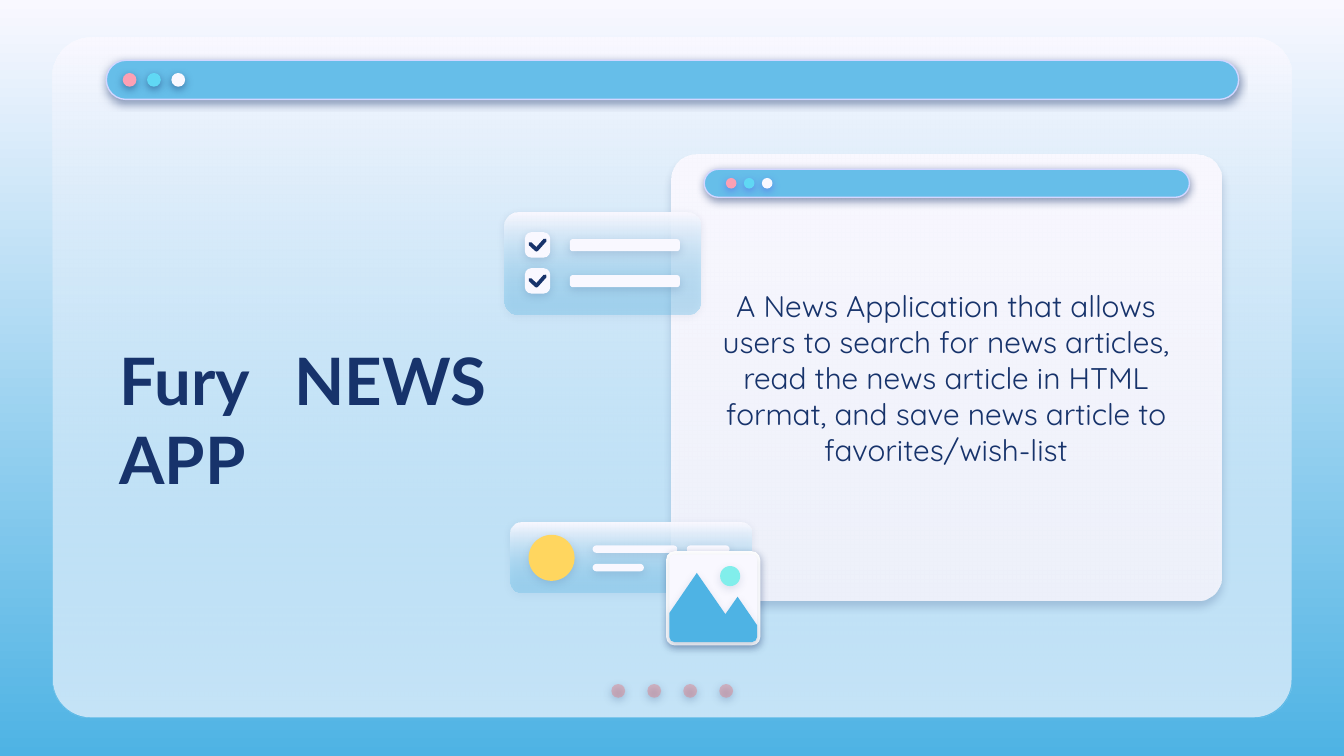
import dataclasses

import pptx
import pptx.dml.color
import pptx.enum.shapes
import pptx.enum.text
import pptx.oxml
import pptx.oxml.ns
import pptx.util
from pptx.util import Cm

SHAPE = pptx.enum.shapes.MSO_SHAPE
ALIGN = pptx.enum.text.PP_ALIGN
qn = pptx.oxml.ns.qn


@dataclasses.dataclass(frozen=True)
class Theme:
    paper: str = "F9F8FF"
    white: str = "FFFFFF"
    sky: str = "4EB3E4"
    bar: str = "66BEE9"
    bar_edge: str = "D2D6FF"
    navy: str = "17336B"
    violet: str = "5352EE"
    pink: str = "FDA0B4"
    cyan: str = "60D8F4"
    coral: str = "E27B83"
    yellow: str = "FFD65F"
    mint: str = "81EEEB"
    title_font: str = "Lato"
    body_font: str = "Quicksand"
    title_size: int = 35
    body_size: int = 16


THEME = Theme()
GLASS = (THEME.paper, THEME.bar)


def rgb(color):
    return pptx.dml.color.RGBColor.from_string(color)


def fill_gradient(fill, colors):
    """Run from the first colour at the top to the second at the bottom."""
    fill.gradient()
    fill.gradient_angle = 270
    for stop, color, position in zip(fill.gradient_stops, colors, (0, 1)):
        stop.color.rgb = rgb(color)
        stop.position = position


def paint(shape, fill, alpha=100, shadow=None, shadow_color=THEME.navy, drop=1.5, angle=90):
    """Fill a shape; alpha acts on its last colour and shadow is an opacity."""
    properties = shape._element.spPr
    if isinstance(fill, tuple):
        fill_gradient(shape.fill, fill)
    else:
        shape.fill.solid()
        shape.fill.fore_color.rgb = rgb(fill)
    if alpha < 100:
        last_color = list(properties.iter(qn("a:srgbClr")))[-1]
        pptx.oxml.ns  # alpha is a child of the colour it thins
        last_color.append(pptx.oxml.parse_xml(
            f'<a:alpha {pptx.oxml.ns.nsdecls("a")} val="{alpha * 1000}"/>'))
    shape.line.fill.background()
    shape.shadow.inherit = False
    if shadow:
        properties.find(qn("a:effectLst")).append(pptx.oxml.parse_xml(
            f'<a:outerShdw {pptx.oxml.ns.nsdecls("a")} blurRad="57150" dist="{int(drop * 12700)}" '
            f'dir="{angle * 60000}" algn="bl" rotWithShape="0"><a:srgbClr val="{shadow_color}">'
            f'<a:alpha val="{shadow * 1000}"/></a:srgbClr></a:outerShdw>'))


def add_rounded(slide, box, roundness, fill, **look):
    shape = slide.shapes.add_shape(SHAPE.ROUNDED_RECTANGLE, *map(Cm, box))
    shape.adjustments[0] = roundness
    paint(shape, fill, **look)
    return shape


def add_circle(slide, x, y, size, fill, **look):
    paint(slide.shapes.add_shape(SHAPE.OVAL, Cm(x), Cm(y), Cm(size), Cm(size)), fill, **look)


def add_outline(slide, x, y, points, close):
    corners = [(Cm(x + dx), Cm(y + dy)) for dx, dy in points]
    builder = slide.shapes.build_freeform(*corners[0])
    builder.add_line_segments(corners[1:], close=close)
    return builder.convert_to_shape()


def add_text(slide, box, text, font, size, bold=False, align=ALIGN.LEFT):
    frame = slide.shapes.add_textbox(*map(Cm, box)).text_frame
    frame.word_wrap = True
    frame.vertical_anchor = pptx.enum.text.MSO_ANCHOR.MIDDLE
    frame.margin_left = frame.margin_right = frame.margin_top = frame.margin_bottom = Cm(0.25)
    frame.text = text
    paragraph = frame.paragraphs[0]
    paragraph.alignment = align
    for run in paragraph.runs:
        run.font.name, run.font.size, run.font.bold = font, pptx.util.Pt(size), bold
        run.font.color.rgb = rgb(THEME.navy)
    return paragraph


def add_title_bar(slide, box, inset, pitch, dot, dot_shadow):
    x, y, _, height = box
    bar = add_rounded(slide, box, 0.5, THEME.bar, shadow=50)
    bar.line.color.rgb = rgb(THEME.bar_edge)
    bar.line.width = pptx.util.Pt(0.75)
    for i, color in enumerate((THEME.pink, THEME.cyan, THEME.paper)):
        add_circle(slide, x + inset + i * pitch, y + (height - dot) / 2, dot, color,
                   shadow=50, shadow_color=dot_shadow)


def add_backdrop(slide, box):
    x, y, width, height = box
    fill_gradient(slide.background.fill, (THEME.paper, THEME.sky))
    add_rounded(slide, box, 0.056, THEME.paper)
    add_rounded(slide, box, 0.056, GLASS, alpha=35)
    # Page dots, centred near the bottom
    count, pitch, dot = 4, 0.68, 0.26
    first = x + (width - (count - 1) * pitch - dot) / 2
    for i in range(count):
        add_circle(slide, first + i * pitch, y + height - 0.63, dot, THEME.coral,
                   alpha=44, shadow=50)
    add_title_bar(slide, (x + 1.01, y + 0.43, width - 2.01, 0.74), 0.31, 0.46, 0.26, THEME.navy)


def add_heading(slide, box):
    heading = add_text(slide, box, "Fury\tNEWS APP", THEME.title_font, THEME.title_size, bold=True)
    # Tab stop that sets the gap after the first word
    heading._p.get_or_add_pPr().append(pptx.oxml.parse_xml(
        f'<a:tabLst {pptx.oxml.ns.nsdecls("a")}><a:tab pos="{Cm(3.3)}" algn="l"/></a:tabLst>'))


def add_window(slide, box):
    x, y, width, height = box
    add_rounded(slide, box, 0.056, (THEME.paper, THEME.paper), alpha=87, shadow=22, drop=3.8)
    add_title_bar(slide, (x + 0.61, y + 0.28, width - 1.22, 0.53), 0.41, 0.34, 0.2, THEME.violet)
    summary = add_text(
        slide, (x + 0.38, y + 1.09, width - 0.79, height - 2.18),
        "A News Application that allows users to search for news articles, read the news "
        "article in HTML format, and save news article to favorites/wish-list",
        THEME.body_font, THEME.body_size, align=ALIGN.CENTER)
    summary.space_after = pptx.util.Pt(12)


def add_checklist(slide, box):
    x, y, _, _ = box
    add_rounded(slide, box, 0.13, GLASS, alpha=35, shadow=15)
    for row in range(2):
        top = y + 0.38 + row * 0.68
        add_rounded(slide, (x + 1.23, top + 0.13, 2.08, 0.23), 0.25, THEME.paper, shadow=15)
        add_rounded(slide, (x + 0.38, top, 0.48, 0.48), 0.26, THEME.paper, shadow=15)
        tick = add_outline(slide, x + 0.38, top, [(0.1, 0.22), (0.22, 0.33), (0.38, 0.15)], False)
        tick.fill.background()
        tick.shadow.inherit = False
        tick.line.color.rgb = rgb(THEME.navy)
        tick.line.width = pptx.util.Pt(2)
        tick.line._get_or_add_ln().set("cap", "rnd")


def add_profile(slide, box):
    x, y, _, _ = box
    add_rounded(slide, box, 0.15, GLASS, alpha=35, shadow=13)
    add_circle(slide, x + 0.34, y + 0.23, 0.87, THEME.yellow, shadow=13)
    for dx, dy, width in ((1.55, 0.43, 1.6), (3.33, 0.43, 0.81), (1.55, 0.78, 0.97)):
        add_rounded(slide, (x + dx, y + dy, width, 0.14), 0.5, THEME.paper, shadow=13)


def add_photo(slide, box):
    x, y, width, height = box
    rim = 0.06
    add_rounded(slide, box, 0.09, THEME.white, shadow=33, angle=64)
    add_rounded(slide, (x + rim, y + rim, width - 2 * rim, height - 2 * rim), 0.06,
                THEME.paper, shadow=13)
    left, right, bottom, corner = rim, width - rim, height - rim, 0.1
    mountains = add_outline(slide, x, y, [
        (0.58, 0.41), (left, 1.17), (left, bottom - corner), (left + 0.03, bottom - 0.03),
        (left + corner, bottom), (right - corner, bottom), (right - 0.03, bottom - 0.03),
        (right, bottom - corner), (right, 1.4), (1.35, 0.86), (1.12, 1.19)], True)
    paint(mountains, THEME.sky, shadow=13)
    add_circle(slide, x + 1.02, y + 0.28, 0.38, THEME.mint, shadow=13)


def main():
    deck = pptx.Presentation()
    deck.slide_width, deck.slide_height = Cm(25.4), Cm(14.29)
    slide = deck.slides.add_slide(deck.slide_layouts[6])
    add_backdrop(slide, (1, 0.71, 23.41, 12.85))
    add_heading(slide, (2.01, 5.94, 9.17, 3.96))
    add_window(slide, (12.7, 2.92, 10.39, 8.43))
    add_checklist(slide, (9.54, 4.01, 3.7, 1.94))
    add_profile(slide, (9.65, 9.88, 4.55, 1.32))
    add_photo(slide, (12.59, 10.42, 1.78, 1.78))
    deck.save("out.pptx")


if __name__ == "__main__":
    main()
